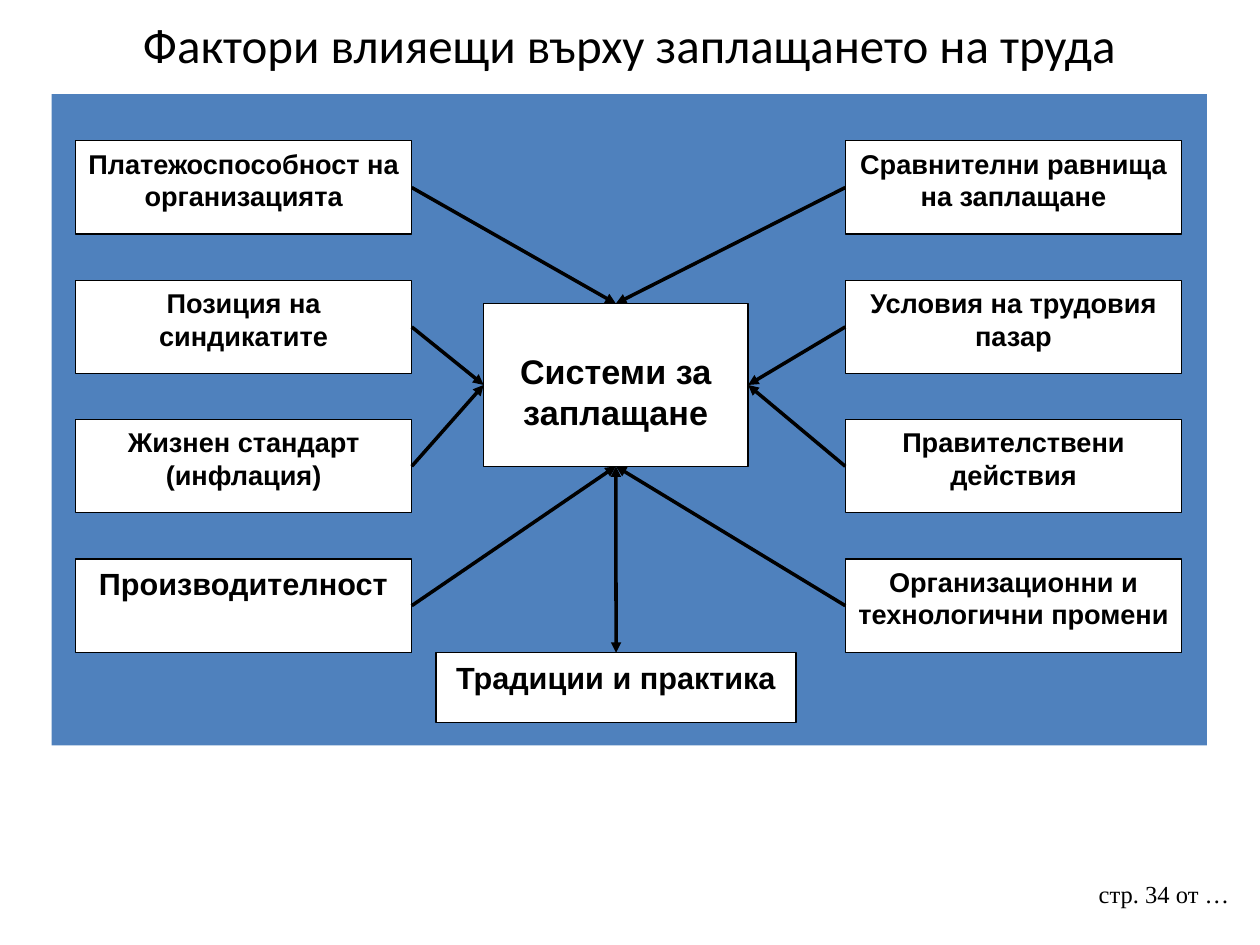
"""Build the slide on the factors that influence pay."""
from lxml.etree import SubElement
from pptx import Presentation
from pptx.dml.color import RGBColor
from pptx.enum.shapes import MSO_CONNECTOR, MSO_SHAPE
from pptx.enum.text import MSO_ANCHOR, PP_ALIGN
from pptx.oxml.ns import qn
from pptx.util import Cm, Pt

BLACK = RGBColor(0x00, 0x00, 0x00)
WHITE = RGBColor(0xFF, 0xFF, 0xFF)
BLUE = RGBColor(0x4F, 0x81, 0xBD)
TOP, LEFT, BOTTOM, RIGHT = range(4)


def add_box(text, left, top, width, height, size):
    box = diagram.add_shape(MSO_SHAPE.RECTANGLE, Cm(left), Cm(top), Cm(width), Cm(height))
    box.shadow.inherit = False
    box.fill.solid()
    box.fill.fore_color.rgb = WHITE
    box.line.color.rgb = BLACK
    box.line.width = Pt(0.75)
    frame = box.text_frame
    frame.word_wrap = True
    frame.vertical_anchor = MSO_ANCHOR.TOP
    paragraph = frame.paragraphs[0]
    paragraph.text = text
    paragraph.alignment = PP_ALIGN.CENTER
    style = {"name": "Arial", "size": Pt(size), "bold": True}
    for attribute, value in style.items():
        setattr(paragraph.font, attribute, value)
    paragraph.font.color.rgb = BLACK
    return box


def add_arrow(source, source_side, target, target_side, ends=("tailEnd",)):
    arrow = diagram.add_connector(MSO_CONNECTOR.STRAIGHT, 0, 0, 0, 0)
    arrow.begin_connect(source, source_side)
    arrow.end_connect(target, target_side)
    arrow.line.color.rgb = BLACK
    arrow.line.width = Pt(2)
    properties = arrow.line._get_or_add_ln()
    for end in ends:
        SubElement(properties, qn(f"a:{end}"), type="triangle")
    SubElement(properties.getparent(), qn("a:effectLst"))


presentation = Presentation()
presentation.slide_width = Cm(25.4)
presentation.slide_height = Cm(19.05)
slide = presentation.slides.add_slide(presentation.slide_layouts[5])

heading = slide.shapes.title
placement = {"left": Cm(1.25), "top": Cm(0.08), "width": Cm(22.86), "height": Cm(1.63)}
for attribute, value in placement.items():
    setattr(heading, attribute, value)
heading.text_frame.text = "Фактори влияещи върху заплащането на труда"
heading.text_frame.vertical_anchor = MSO_ANCHOR.MIDDLE
heading_line = heading.text_frame.paragraphs[0]
heading_line.alignment = PP_ALIGN.CENTER

page_number = slide.shapes.add_textbox(Cm(21.9), Cm(17.6), Cm(3.3), Cm(1.32))
page_number.text_frame.word_wrap = True
page_line = page_number.text_frame.paragraphs[0]
page_line.text = "стр. 34 от …"

for line, name, size in ((heading_line, "Calibri", 28), (page_line, "Times New Roman", 14)):
    for attribute, value in {"name": name, "size": Pt(size)}.items():
        setattr(line.font, attribute, value)
    line.font.color.rgb = BLACK

diagram = slide.shapes.add_group_shape().shapes
background = diagram.add_shape(MSO_SHAPE.RECTANGLE, Cm(1.04), Cm(1.9), Cm(23.29), Cm(13.13))
background.shadow.inherit = False
background.fill.solid()
background.fill.fore_color.rgb = BLUE
background.line.fill.background()

pay_systems = add_box("Системи за заплащане", 9.75, 6.12, 5.33, 3.28, 19.5)
pay_systems.text_frame.margin_top = Cm(0.95)
traditions = add_box("Традиции и практика", 8.79, 13.16, 7.26, 1.4, 17.5)

factor_columns = (
    (1.52, RIGHT, LEFT, (
        ("Платежоспособност на организацията", 15.5),
        ("Позиция на синдикатите", 15.5),
        ("Жизнен стандарт (инфлация)", 15.5),
        ("Производителност", 17.5),
    )),
    (17.04, LEFT, RIGHT, (
        ("Сравнителни равнища на заплащане", 15.5),
        ("Условия на трудовия пазар", 15.5),
        ("Правителствени действия", 15.5),
        ("Организационни и технологични промени", 15.5),
    )),
)
for left, inner_side, near_side, factors in factor_columns:
    target_sides = (TOP, near_side, near_side, BOTTOM)
    for row, ((text, size), target_side) in enumerate(zip(factors, target_sides)):
        factor = add_box(text, left, 2.84 + 2.81 * row, 6.78, 1.88, size)
        add_arrow(factor, inner_side, pay_systems, target_side)
add_arrow(pay_systems, BOTTOM, traditions, TOP, ("headEnd", "tailEnd"))

presentation.save("out.pptx")
